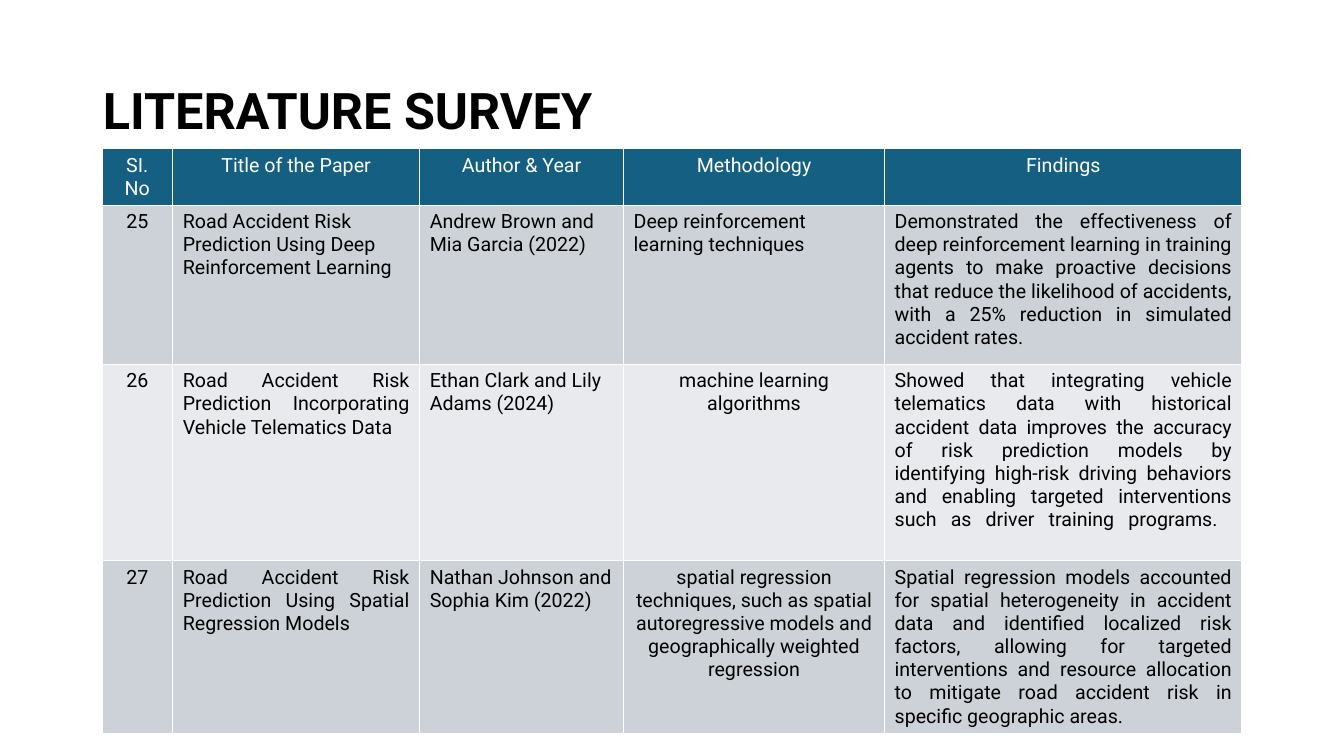
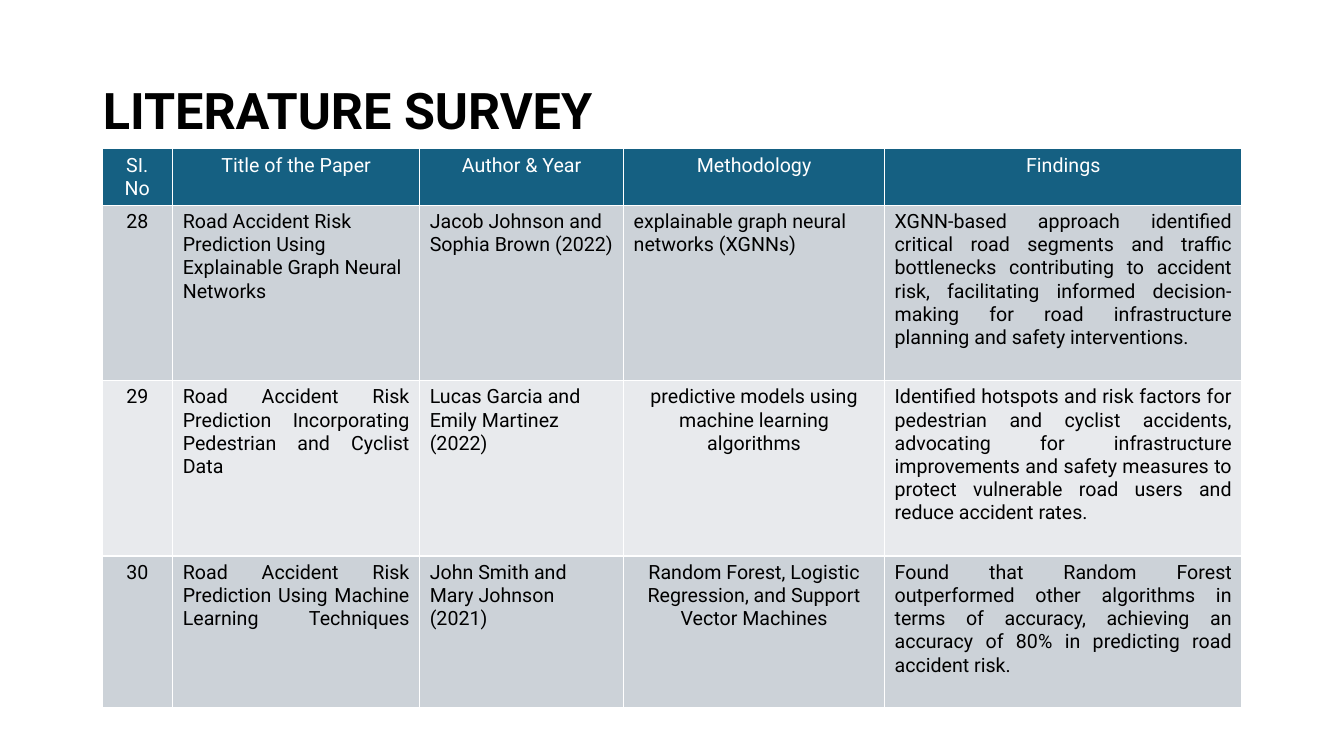
"""Build two literature survey slides, each a title above a table of papers."""
from dataclasses import dataclass

from lxml import etree
from pptx import Presentation
from pptx import util as u
from pptx.dml.color import RGBColor
from pptx.enum import text
from pptx.oxml.ns import qn


@dataclass(frozen=True)
class Theme:
    font: str = "Roboto"
    title_size: int = 36
    cell_size: int = 14
    ink: str = "000000"
    paper: str = "FFFFFF"
    header: str = "156082"
    bands: tuple = ("CCD2D8", "E8EAED")
    border: int = 1


THEME = Theme()
ALIGN = text.PP_ALIGN
LEFT, CENTER, JUSTIFY = ALIGN.LEFT, ALIGN.CENTER, ALIGN.JUSTIFY

TITLE = "LITERATURE SURVEY"
TITLE_BOX = (66.24, 28.8, 828, 104.4)
TABLE_LEFT, TABLE_TOP = 72.8, 106.2
COLUMNS = (50.6, 176.4, 145.7, 186.4, 255.4)
HEADER_HEIGHT = 40
HEADINGS = ("SI. No", "Title of the Paper", "Author & Year", "Methodology", "Findings")
HEADER_ALIGN = (CENTER,) * len(HEADINGS)
FIRST_ALIGN = (CENTER, LEFT, LEFT, LEFT, JUSTIFY)
OTHER_ALIGN = (CENTER, JUSTIFY, LEFT, CENTER, JUSTIFY)

SURVEYS = (
    ((113.8, 139.7, 123.2), (
        ("25", "Road Accident Risk Prediction Using Deep Reinforcement Learning",
         "Andrew Brown and Mia Garcia (2022)",
         "Deep reinforcement learning techniques",
         "Demonstrated the effectiveness of deep reinforcement learning in training agents "
         "to make proactive decisions that reduce the likelihood of accidents, with a 25% "
         "reduction in simulated accident rates."),
        ("26", "Road Accident Risk Prediction Incorporating Vehicle Telematics Data",
         "Ethan Clark and Lily Adams (2024)",
         "machine learning algorithms",
         "Showed that integrating vehicle telematics data with historical accident data "
         "improves the accuracy of risk prediction models by identifying high-risk driving "
         "behaviors and enabling targeted interventions such as driver training programs. \n"),
        ("27", "Road Accident Risk Prediction Using Spatial Regression Models",
         "Nathan Johnson and Sophia Kim (2022)",
         "spatial regression techniques, such as spatial autoregressive models and "
         "geographically weighted regression",
         "Spatial regression models accounted for spatial heterogeneity in accident data and "
         "identified localized risk factors, allowing for targeted interventions and resource "
         "allocation to mitigate road accident risk in specific geographic areas."),
    )),
    ((125.3, 125.3, 108.5), (
        ("28", "Road Accident Risk Prediction Using Explainable Graph Neural Networks",
         "Jacob Johnson and Sophia Brown (2022)",
         "explainable graph neural networks (XGNNs)",
         "XGNN-based approach identified critical road segments and traffic bottlenecks "
         "contributing to accident risk, facilitating informed decision-making for road "
         "infrastructure planning and safety interventions."),
        ("29", "Road Accident Risk Prediction Incorporating Pedestrian and Cyclist Data",
         "Lucas Garcia and Emily Martinez (2022)",
         "predictive models using machine learning algorithms",
         "Identified hotspots and risk factors for pedestrian and cyclist accidents, "
         "advocating for infrastructure improvements and safety measures to protect "
         "vulnerable road users and reduce accident rates."),
        ("30", "Road Accident Risk Prediction Using Machine Learning Techniques\n",
         "John Smith and Mary Johnson (2021)",
         "Random Forest, Logistic Regression, and Support Vector Machines",
         "Found that Random Forest outperformed other algorithms in terms of accuracy, "
         "achieving an accuracy of 80% in predicting road accident risk."),
    )),
)


def write(p, words, *, size, color, bold=False, align=LEFT, spacing=1.0):
    """Fill a paragraph with formatted text; a newline becomes a line break."""
    p.text = words
    p.alignment, p.line_spacing = align, spacing
    for r in p.runs:
        f = r.font
        f.name, f.size, f.bold = THEME.font, u.Pt(size), bold
        f.color.rgb = RGBColor.from_string(color)
    for br in p._p.findall(qn("a:br")):
        etree.SubElement(br, qn("a:rPr"), sz=str(size * 100))
    etree.SubElement(p._p, qn("a:endParaRPr"), sz=str(size * 100))


def add_borders(cell):
    """Draw the same thin line on all four sides of a cell."""
    tc_pr = cell._tc.get_or_add_tcPr()
    for side in "LRTB":
        ln = etree.SubElement(tc_pr, qn(f"a:ln{side}"), w=str(u.Pt(THEME.border)))
        fill = etree.SubElement(ln, qn("a:solidFill"))
        etree.SubElement(fill, qn("a:srgbClr"), val=THEME.paper)


def fill_row(row, words, *, fill, color, aligns):
    """Write and format the cells of one table row."""
    for cell, content, align in zip(row.cells, words, aligns):
        add_borders(cell)
        cell.fill.solid()
        cell.fill.fore_color.rgb = RGBColor.from_string(fill)
        write(cell.text_frame.paragraphs[0], content,
              size=THEME.cell_size, color=color, align=align)


def add_title(s):
    """Place and format the slide's title placeholder."""
    sp = s.shapes.title
    sp.left, sp.top, sp.width, sp.height = map(u.Pt, TITLE_BOX)
    tf = sp.text_frame
    tf.auto_size = text.MSO_AUTO_SIZE.NONE
    tf.vertical_anchor = text.MSO_ANCHOR.MIDDLE
    write(tf.paragraphs[0], TITLE, size=THEME.title_size, color=THEME.ink,
          bold=True, spacing=0.9)


def add_survey(s, heights, papers):
    """Add the table of papers with a header row and banded body rows."""
    heights = (HEADER_HEIGHT, *heights)
    box = map(u.Pt, (TABLE_LEFT, TABLE_TOP, sum(COLUMNS), sum(heights)))
    table = s.shapes.add_table(len(heights), len(COLUMNS), *box).table
    for column, width in zip(table.columns, COLUMNS):
        column.width = u.Pt(width)
    for row, height in zip(table.rows, heights):
        row.height = u.Pt(height)
    fill_row(table.rows[0], HEADINGS, fill=THEME.header, color=THEME.paper,
             aligns=HEADER_ALIGN)
    for i, paper in enumerate(papers):
        fill_row(table.rows[i + 1], paper, fill=THEME.bands[i % len(THEME.bands)],
                 color=THEME.ink, aligns=OTHER_ALIGN if i else FIRST_ALIGN)


def main():
    """Build and save the presentation."""
    prs = Presentation()
    prs.slide_width, prs.slide_height = u.Pt(960), u.Pt(540)
    for heights, papers in SURVEYS:
        s = prs.slides.add_slide(prs.slide_layouts[5])
        add_title(s)
        add_survey(s, heights, papers)
    prs.save("out.pptx")


if __name__ == "__main__":
    main()
